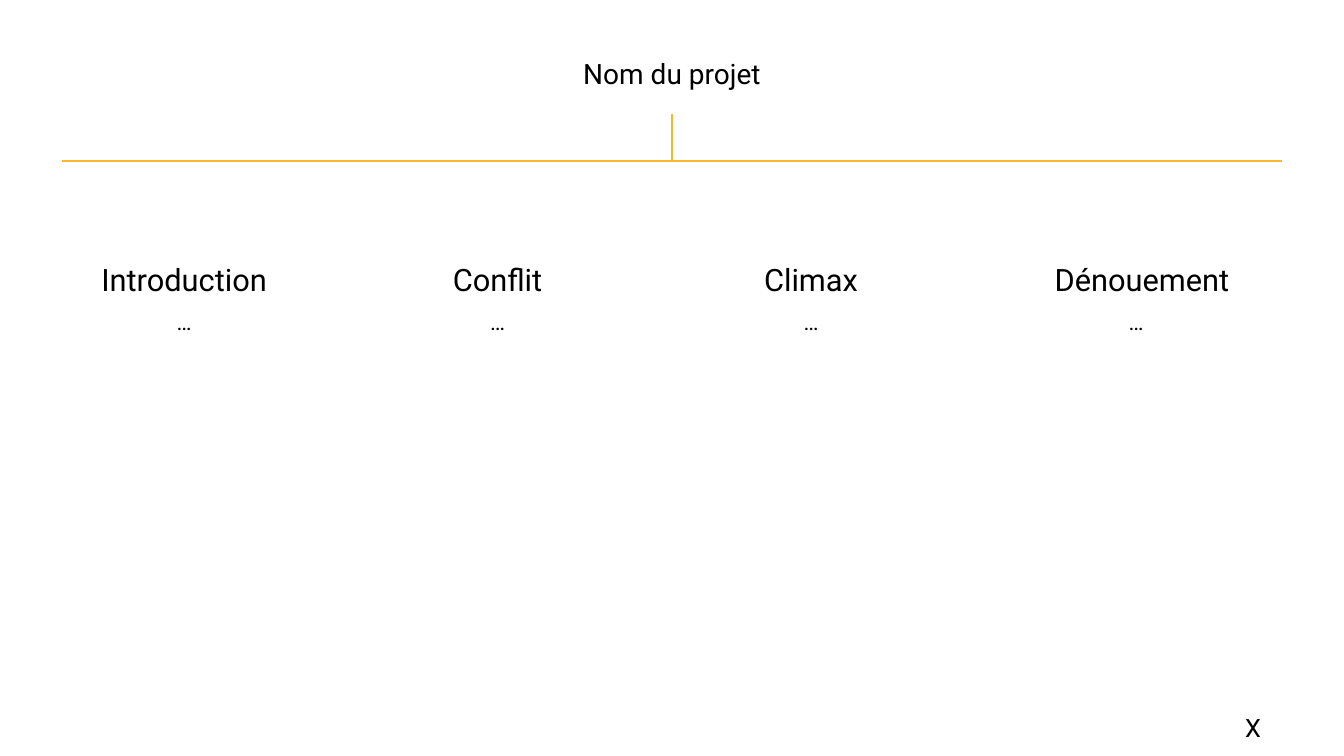
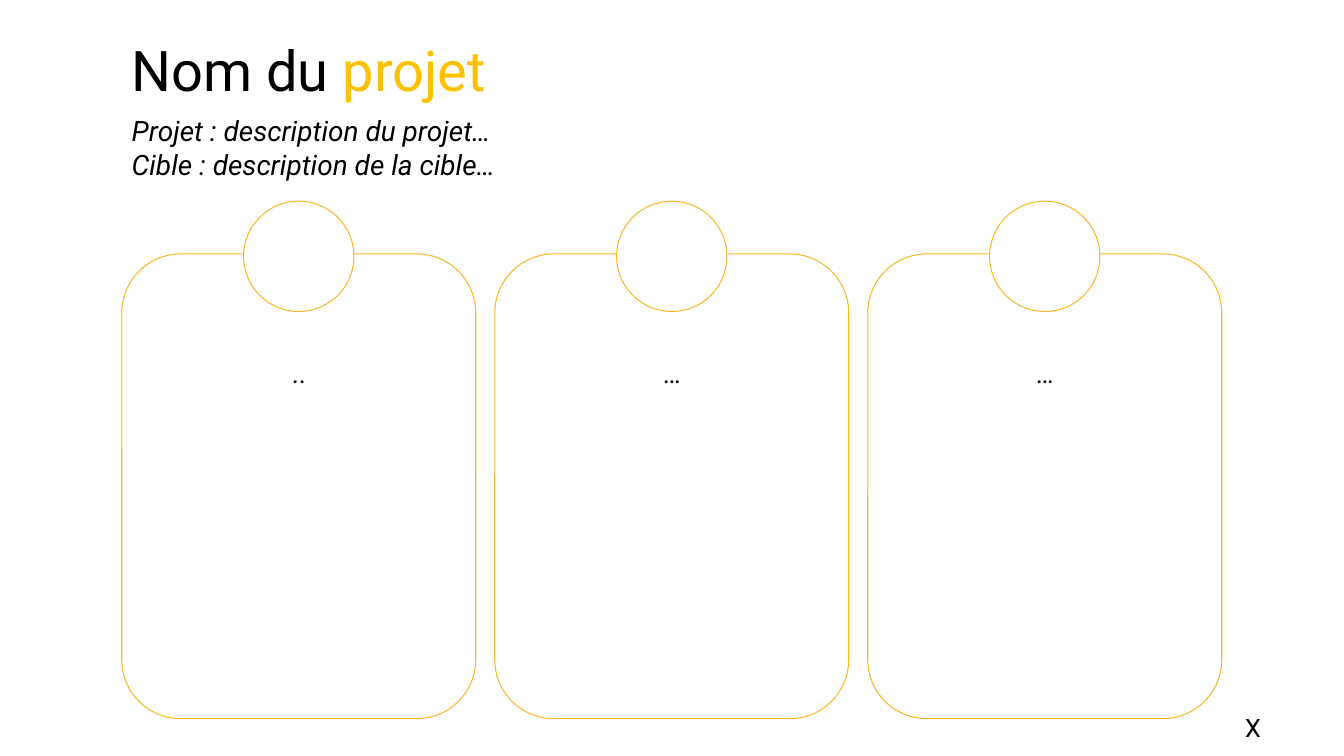
from lxml import etree
from pptx import Presentation
from pptx.dml.color import RGBColor
from pptx.enum.shapes import MSO_CONNECTOR, MSO_SHAPE
from pptx.enum.text import MSO_AUTO_SIZE, PP_ALIGN
from pptx.oxml.ns import qn
from pptx.util import Cm, Pt

BLACK = RGBColor(0x00, 0x00, 0x00)
WHITE = RGBColor(0xFF, 0xFF, 0xFF)
GOLD = RGBColor(0xFF, 0xC0, 0x00)
LINE_GOLD = RGBColor(0xFC, 0xB6, 0x29)
OUTLINE_GOLD = RGBColor(0xFD, 0xB6, 0x29)

STRAIGHT = MSO_CONNECTOR.STRAIGHT
ELLIPSE = MSO_SHAPE.OVAL
ROUNDED = MSO_SHAPE.ROUNDED_RECTANGLE
GROW = MSO_AUTO_SIZE.SHAPE_TO_FIT_TEXT
FIXED = MSO_AUTO_SIZE.NONE
LEFT, CENTER = PP_ALIGN.LEFT, PP_ALIGN.CENTER

SLIDE_WIDTH, SLIDE_HEIGHT = 33.87, 19.05
MIDDLE = SLIDE_WIDTH / 2


class Deck:
    """Holds the style and the current slide; lengths are in centimetres."""

    font = "Roboto"

    def __init__(self):
        self.presentation = Presentation()
        self.presentation.slide_width = Cm(SLIDE_WIDTH)
        self.presentation.slide_height = Cm(SLIDE_HEIGHT)
        self.slide = None

    def new_slide(self):
        blank = self.presentation.slide_layouts[6]
        self.slide = self.presentation.slides.add_slide(blank)
        fill = self.slide.background.fill
        fill.solid()
        fill.fore_color.rgb = WHITE
        self.text([[("X", BLACK)]], 30.96, 17.81, 1.24, 1.02, size=18)

    def text(self, paragraphs, left, top, width, height, size,
             align=CENTER, italic=None, inset=0.13, auto_size=GROW):
        """Add a text box; each paragraph is a list of (text, colour) runs."""
        box = self.slide.shapes.add_textbox(
            Cm(left), Cm(top), Cm(width), Cm(height))
        frame = box.text_frame
        frame_format = {"word_wrap": True, "auto_size": auto_size,
                        "margin_top": Cm(inset), "margin_bottom": Cm(inset)}
        for name, value in frame_format.items():
            setattr(frame, name, value)
        font_format = {"name": self.font, "size": Pt(size), "italic": italic}
        for index, runs in enumerate(paragraphs):
            paragraph = frame.add_paragraph() if index else frame.paragraphs[0]
            paragraph.alignment = align
            for words, color in runs:
                run = paragraph.add_run()
                run.text = words
                for name, value in font_format.items():
                    setattr(run.font, name, value)
                run.font.color.rgb = color

    def centered_text(self, words, center, top, width, height, size, **options):
        self.text([[(words, BLACK)]], center - width / 2, top, width, height,
                  size, **options)

    def line(self, start, end):
        connector = self.slide.shapes.add_connector(
            STRAIGHT, *(Cm(length) for length in (*start, *end)))
        connector.line.color.rgb = LINE_GOLD
        connector.line.width = Pt(1.5)
        properties = connector._element.spPr
        etree.SubElement(properties, qn("a:effectLst"))

    def outline(self, kind, center, top, width, height):
        """Add a white shape with a thin gold outline around a centre."""
        shape = self.slide.shapes.add_shape(
            kind, Cm(center - width / 2), Cm(top), Cm(width), Cm(height))
        shape.shadow.inherit = False
        shape.fill.solid()
        shape.fill.fore_color.rgb = WHITE
        shape.line.color.rgb = OUTLINE_GOLD
        shape.line.width = Pt(0.75)

    def save(self):
        self.presentation.save("out.pptx")


def add_story_slide(deck):
    deck.new_slide()
    deck.centered_text("Nom du projet", MIDDLE, 1.3, SLIDE_WIDTH, 1.12, size=20)
    bar_top, bar_margin = 4.05, 1.56
    deck.line((MIDDLE, 2.87), (MIDDLE, bar_top))
    deck.line((SLIDE_WIDTH - bar_margin, bar_top), (bar_margin, bar_top))
    stages = [("Introduction", 4.64, 4.64), ("Conflit", 12.54, 12.54),
              ("Climax", 20.44, 20.44), ("Dénouement", 28.78, 28.63)]
    for heading, heading_center, body_center in stages:
        deck.centered_text(heading, heading_center, 6.44, 7.14, 1.2, size=22)
        deck.centered_text("…", body_center, 7.64, 7.14, 0.94, size=16)


def add_project_slide(deck):
    deck.new_slide()
    left, width = 3.07, 27.72
    deck.text([[("Nom du ", BLACK), ("projet", GOLD)]],
              left, 0.77, width, 1.97, size=40, align=LEFT)
    deck.text([[("Projet : description du projet…", BLACK)],
               [("Cible : description de la cible…", BLACK)]],
              left, 2.74, width, 1.97, size=20, align=LEFT, italic=True)
    card_width, card_step, circle_size = 8.92, 9.4, 2.78
    for index, words in enumerate(["..", "…", "…"]):
        center = left + card_width / 2 + index * card_step
        deck.outline(ROUNDED, center, 6.4, card_width, 11.71)
        deck.outline(ELLIPSE, center, 5.07, circle_size, circle_size)
        deck.centered_text(words, center, 8.74, 7.09, 8.08, size=19,
                           inset=0.25, auto_size=FIXED)


def main():
    deck = Deck()
    add_story_slide(deck)
    add_project_slide(deck)
    deck.save()


if __name__ == "__main__":
    main()
